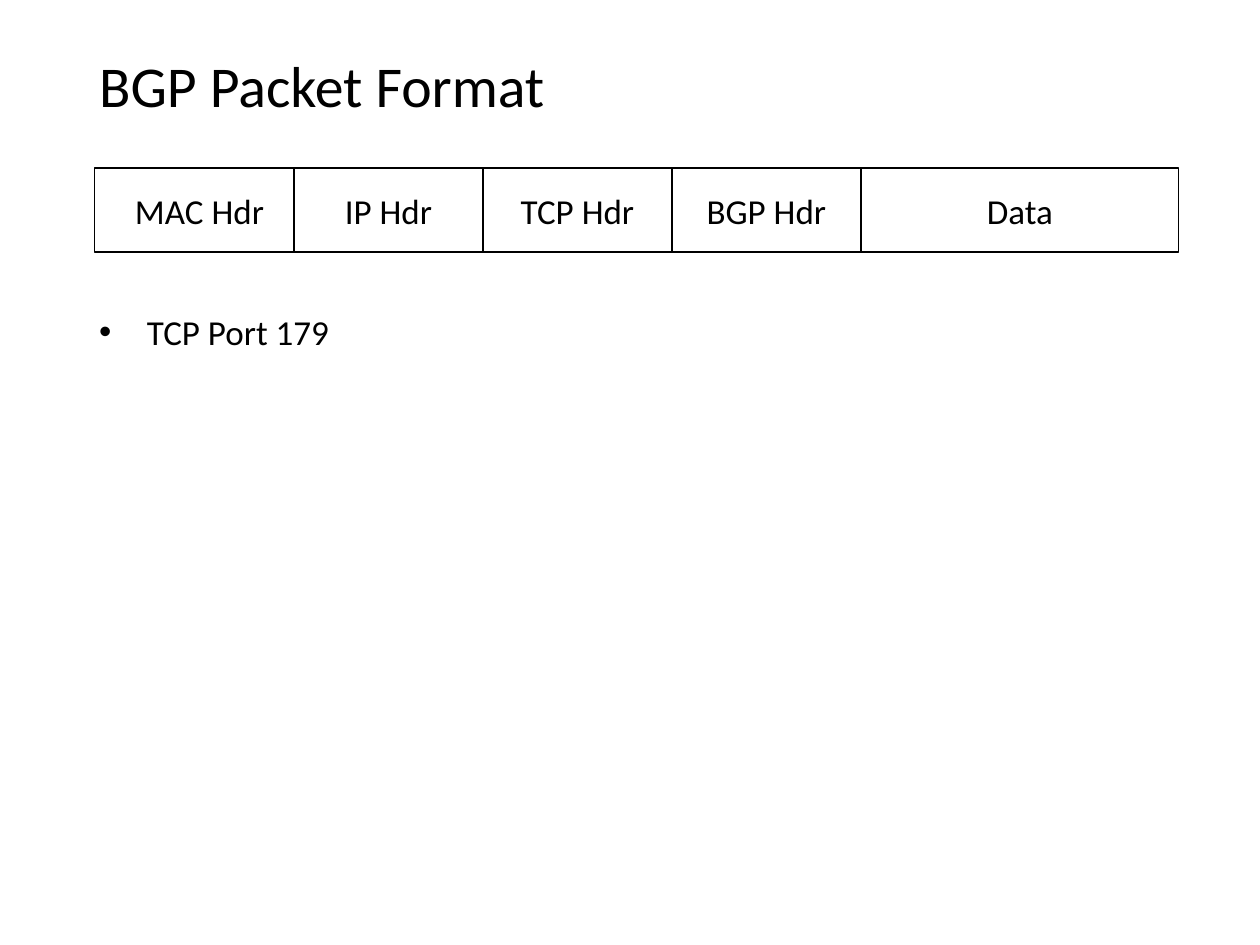
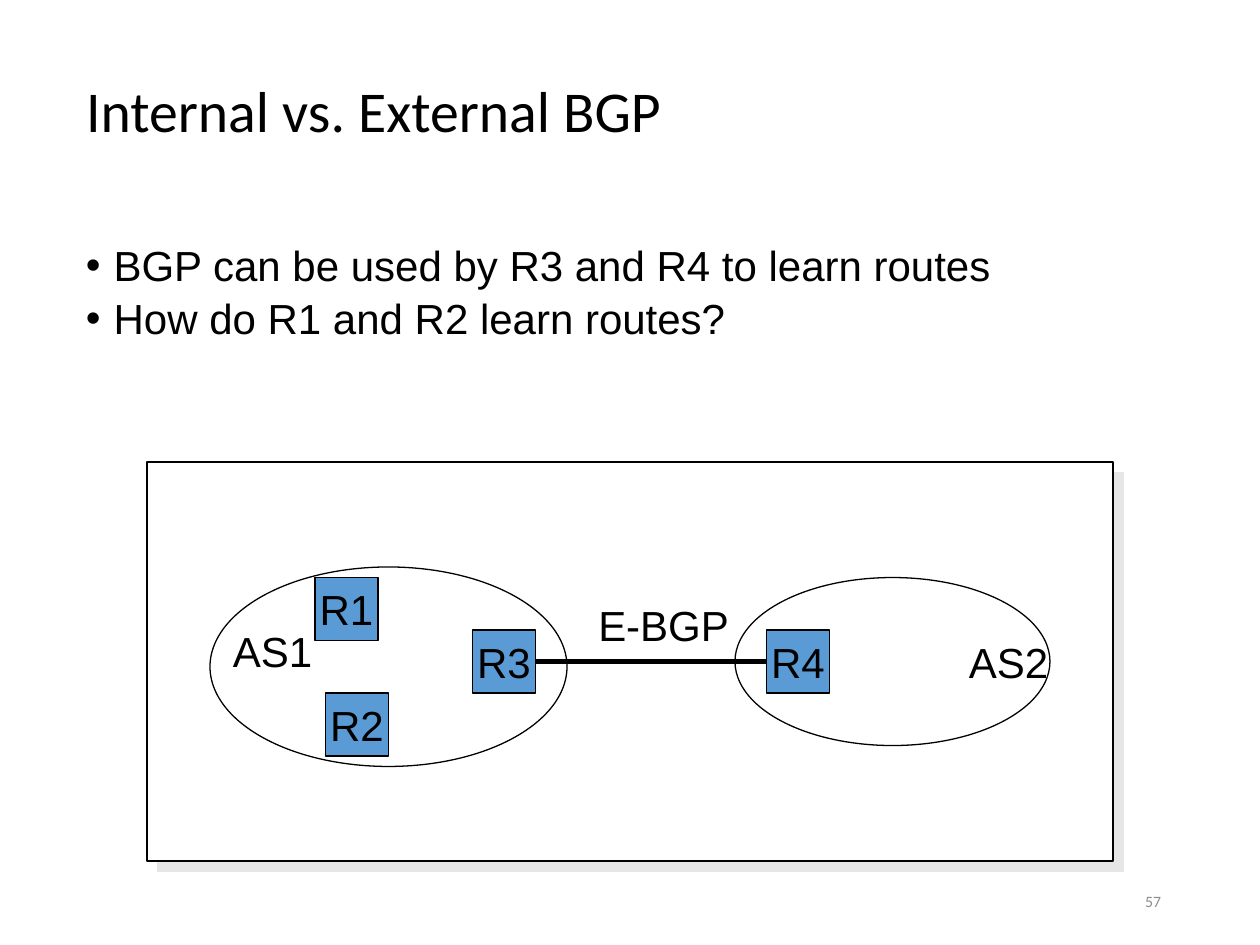
"""Build two slides about the Border Gateway Protocol."""
import pptx
import pptx.dml.color
import pptx.enum.shapes
import pptx.enum.text
import pptx.oxml
import pptx.oxml.ns
import pptx.util
from collections import namedtuple

Box = namedtuple("Box", "left top width height")
SHAPE = pptx.enum.shapes.MSO_SHAPE
ALIGN = pptx.enum.text.PP_ALIGN
ANCHOR = pptx.enum.text.MSO_ANCHOR
FIT = pptx.enum.text.MSO_AUTO_SIZE
GRID = pptx.util.Inches(1 / 12)
BLACK, WHITE, ROUTER_BLUE, SHADOW_GREY, NUMBER_GREY = (
    "000000", "FFFFFF", "5B9BD5", "E7E6E6", "8C8C8C")
BODY_FONT, DIAGRAM_FONT = "Calibri", "Arial"


def color(hex_string):
    """Turn a hex string into a colour."""
    return pptx.dml.color.RGBColor.from_string(hex_string)


def emu(box):
    """Turn a box in grid columns and rows into slide lengths."""
    return [round(GRID * length) for length in box]


def inside(box, left, top, width, height):
    """Place a box relative to the corner of another box."""
    return Box(box.left + left, box.top + top, width, height)


def apply(target, values):
    """Set each named attribute of a target."""
    for name, value in values.items():
        setattr(target, name, value)


def write(shape, lines, size, font, hex_string=BLACK, frame=None, paragraph_format=None):
    """Write lines of text into a shape with one format."""
    text_frame = shape.text_frame
    apply(text_frame, frame or {})
    text_frame.text = "\n".join(lines)
    for paragraph in text_frame.paragraphs:
        apply(paragraph, paragraph_format or {})
        for run in paragraph.runs:
            apply(run.font, {"name": font, "size": pptx.util.Pt(size)})
            run.font.color.rgb = color(hex_string)


def add_title(slide, box, text):
    """Move and format the title placeholder."""
    title = slide.shapes.title
    apply(title, dict(zip(("left", "top", "width", "height"), emu(box))))
    write(title, [text], 33, BODY_FONT,
          frame={"vertical_anchor": ANCHOR.MIDDLE, "auto_size": FIT.NONE, "word_wrap": True},
          paragraph_format={"alignment": ALIGN.LEFT, "line_spacing": 0.9})


def add_outline(slide, kind, box, fill=WHITE, line_width=0.75):
    """Add a filled shape with a black outline."""
    shape = slide.shapes.add_shape(kind, *emu(box))
    shape.shadow.inherit = False
    shape.fill.solid()
    shape.fill.fore_color.rgb = color(fill)
    shape.line.color.rgb = color(BLACK)
    shape.line.width = pptx.util.Pt(line_width)
    return shape


def add_text(slide, box, lines, size, font, wrap=False):
    """Add a text box that grows with its text."""
    text_box = slide.shapes.add_textbox(*emu(box))
    write(text_box, lines, size, font,
          frame={"word_wrap": wrap, "auto_size": FIT.SHAPE_TO_FIT_TEXT})
    return text_box


def add_bullets(text_box, indent, line_spacing=1.0):
    """Give every paragraph a hanging bullet."""
    distance = pptx.util.Inches(indent)
    for paragraph in text_box.text_frame.paragraphs:
        paragraph.line_spacing = line_spacing
        properties = paragraph._p.get_or_add_pPr()
        properties.set("marL", str(distance))
        properties.set("indent", str(-distance))
        for tag, name, value in (("a:buFont", "typeface", "Arial"), ("a:buChar", "char", "•")):
            bullet = pptx.oxml.parse_xml(f'<{tag} {pptx.oxml.ns.nsdecls("a")} {name}="{value}"/>')
            properties.append(bullet)


def add_hard_shadow(shape):
    """Give a shape a sharp shadow to the lower right."""
    effects = shape._element.spPr.find(pptx.oxml.ns.qn("a:effectLst"))
    effects.append(pptx.oxml.parse_xml(
        f'<a:outerShdw {pptx.oxml.ns.nsdecls("a")} blurRad="0" dist="{pptx.util.Pt(8.5)}" '
        f'dir="2700000" algn="ctr" rotWithShape="0"><a:srgbClr val="{SHADOW_GREY}"/></a:outerShdw>'))


def add_packet(slide, box):
    """Draw the packet as a row of header fields followed by data."""
    fields = (("MAC Hdr", 0, 20), ("IP Hdr", 19, 18), ("TCP Hdr", 37, 18),
              ("BGP Hdr", 55, 18), ("Data", 73, box.width - 73))
    for label, left, width in fields:
        field = add_outline(slide, SHAPE.RECTANGLE, inside(box, left, 0, width, box.height),
                            line_width=1)
        write(field, [label], 20, BODY_FONT,
              frame={"vertical_anchor": ANCHOR.MIDDLE, "word_wrap": True},
              paragraph_format={"alignment": ALIGN.CENTER})


def add_router(slide, box, label):
    """Add a labelled router square."""
    router = add_outline(slide, SHAPE.RECTANGLE, box, ROUTER_BLUE)
    write(router, [label], 24, DIAGRAM_FONT,
          frame={"vertical_anchor": ANCHOR.MIDDLE, "word_wrap": False},
          paragraph_format={"alignment": ALIGN.CENTER})
    return router


def add_link(slide, start, end):
    """Connect the right side of one router to the left side of another."""
    link = slide.shapes.add_connector(pptx.enum.shapes.MSO_CONNECTOR.STRAIGHT, 0, 0, 0, 0)
    link.begin_connect(start, 3)
    link.end_connect(end, 1)
    link.line.color.rgb = color(BLACK)
    link.line.width = pptx.util.Pt(3)
    link._element.spPr.append(
        pptx.oxml.parse_xml(f'<a:effectLst {pptx.oxml.ns.nsdecls("a")}/>'))


def add_network(slide, box):
    """Draw two autonomous systems joined by an external link."""
    add_hard_shadow(add_outline(slide, SHAPE.RECTANGLE, box))
    for system in ((6, 10, 34, 19), (56, 11, 30, 16)):
        add_outline(slide, SHAPE.OVAL, inside(box, *system))
    places = {"R1": (16, 11), "R2": (17, 22), "R3": (31, 16), "R4": (59, 16)}
    routers = {label: add_router(slide, inside(box, *place, 6, 6), label)
               for label, place in places.items()}
    add_link(slide, routers["R3"], routers["R4"])
    for label, left, top, width in (("E-BGP", 41.8, 12.5, 14.9), ("AS1", 7, 15, 10),
                                    ("AS2", 77.1, 16, 10)):
        add_text(slide, inside(box, left, top, width, 6), [label], 24, DIAGRAM_FONT)


def add_slide_number(slide, box, number):
    """Add the page number at the lower right."""
    text_box = slide.shapes.add_textbox(*emu(box))
    write(text_box, [number], 9, BODY_FONT, NUMBER_GREY,
          frame={"vertical_anchor": ANCHOR.MIDDLE, "word_wrap": True},
          paragraph_format={"alignment": ALIGN.RIGHT})


def build_packet_slide(slide):
    """Fill the slide about the packet format."""
    add_title(slide, Box(8.25, 3, 103.5, 11), "BGP Packet Format")
    add_packet(slide, Box(9, 16, 103.25, 8))
    port = add_text(slide, Box(8.25, 29, 102.75, 5.25), ["TCP Port 179"], 20, BODY_FONT, wrap=True)
    add_bullets(port, 0.38)


def build_network_slide(slide):
    """Fill the slide about internal and external routing."""
    add_title(slide, Box(7, 4.75, 103.5, 12.25), "Internal vs. External BGP")
    points = add_text(slide, Box(7, 22, 89.5, 10.9),
                      ["BGP can be used by R3 and R4 to learn routes",
                       "How do R1 and R2 learn routes?"], 24, DIAGRAM_FONT)
    add_bullets(points, 0.22, line_spacing=1.05)
    add_network(slide, Box(14, 44, 92, 38))
    add_slide_number(slide, Box(84.75, 83.4, 27, 4.8), "57")


def main():
    """Build and save the presentation."""
    presentation = pptx.Presentation()
    presentation.slide_width = 120 * GRID
    presentation.slide_height = 90 * GRID
    title_only = presentation.slide_layouts[5]
    for build in (build_packet_slide, build_network_slide):
        build(presentation.slides.add_slide(title_only))
    presentation.save("out.pptx")


main()
